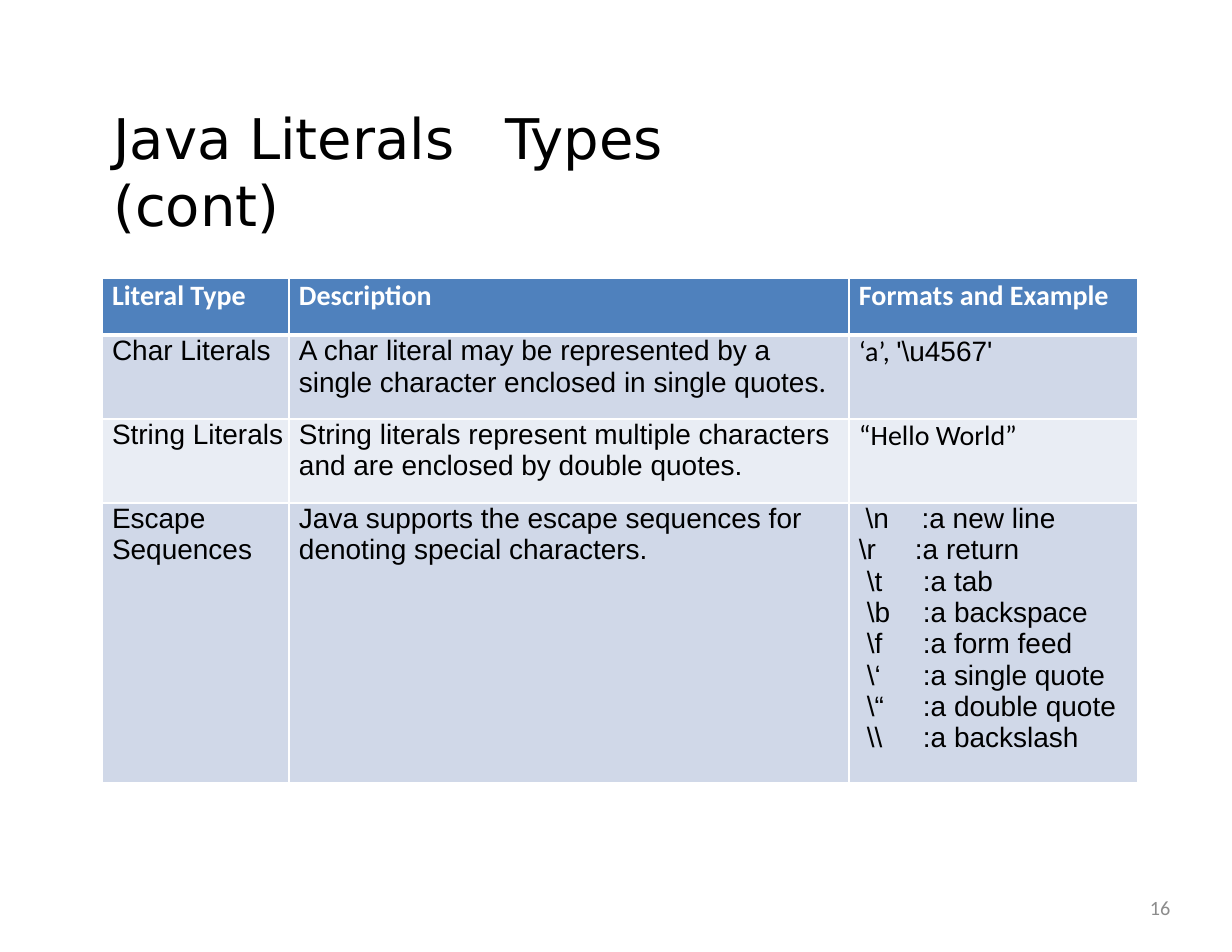
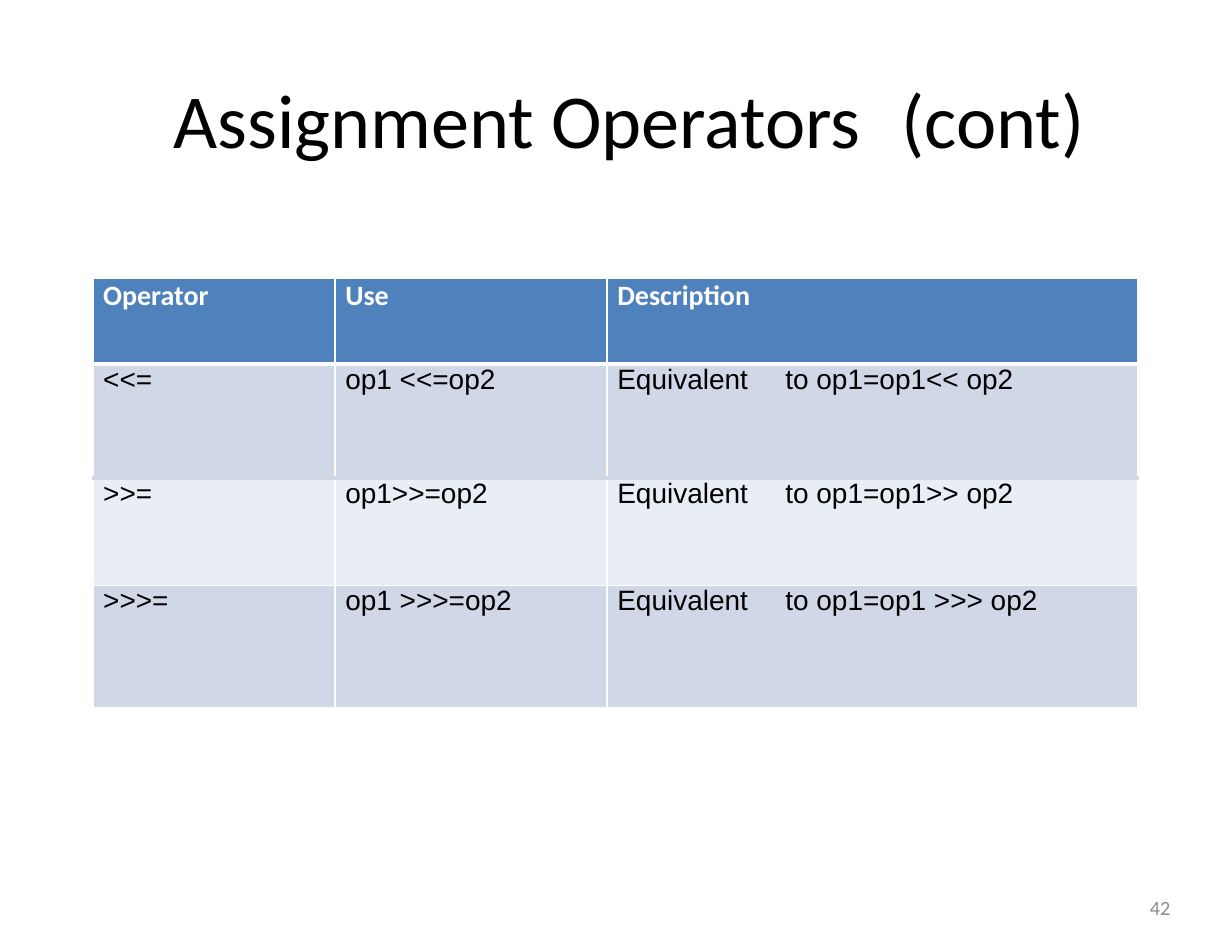
"""Build two Java lecture slides, each with a title, a table and a page number."""
from dataclasses import dataclass

from lxml.etree import SubElement
from pptx import Presentation
from pptx.dml.color import RGBColor
from pptx.enum.text import MSO_ANCHOR, PP_ALIGN
from pptx.oxml.ns import qn
from pptx.util import Cm, Pt

COLOURS = {
    "text": "000000",
    "header_text": "FFFFFF",
    "page_number": "8C8C8C",
    "header": "4F81BD",
    "odd_row": "D0D8E8",
    "even_row": "E9EDF4",
    "rule": "FFFFFF",
}
HEADING_FONT, BODY_FONT = "Calibri", "Arial"
CELL_INDENT = 0.23
THIN_RULE, HEADER_RULE = 1.18, 3.1


@dataclass(frozen=True)
class Line:
    text: str
    font: str = BODY_FONT
    size: float = 18
    colour: str = "text"
    bold: bool = False
    indent: float = CELL_INDENT
    tab: float = 0
    align: PP_ALIGN = PP_ALIGN.LEFT
    tail: str = ""
    tail_font: str = ""


@dataclass(frozen=True)
class Label:
    line: Line
    left: float
    top: float
    width: float
    height: float
    anchor: MSO_ANCHOR = MSO_ANCHOR.MIDDLE


@dataclass(frozen=True)
class Rule:
    width: float
    colour: str = "rule"


@dataclass(frozen=True)
class Grid:
    left: float
    top: float
    columns: tuple[float, ...]
    heights: tuple[float, ...]
    headings: tuple[str, ...]
    rows: tuple
    row_rules: dict[int, Rule]


@dataclass(frozen=True)
class Page:
    title: Label
    grid: Grid
    number: str


def escape(code: str, meaning: str, indent: float = 0.41, tab: float = 1.47) -> Line:
    return Line(f"{code}\t:{meaning}", indent=indent, tab=tab)


def assignment(operator: str, use: str, equivalent: str) -> tuple:
    return (
        [Line(operator)],
        [Line(use)],
        [Line(f"Equivalent\tto {equivalent}", tab=3.56)],
    )


LITERALS = Page(
    title=Label(
        Line("Java Literals\tTypes (cont)", "DejaVu Sans", 36, indent=0.03, tab=8.33),
        2.54, 2.34, 16.33, 1.55, MSO_ANCHOR.TOP,
    ),
    grid=Grid(
        2.31, 6.32, (4.24, 12.7, 6.55), (1.27, 1.91, 1.91, 6.35),
        ("Literal Type", "Description", "Formats and Example"),
        (
            (
                [Line("Char Literals")],
                [Line("A char literal may be represented by a single character "
                      "enclosed in single quotes", tail=".", tail_font=HEADING_FONT)],
                [Line("‘a’, ", HEADING_FONT, tail=r"'\u4567'", tail_font=BODY_FONT)],
            ),
            (
                [Line("String Literals")],
                [Line("String literals represent multiple characters and are "
                      "enclosed by double quotes.")],
                [Line("“Hello World”", HEADING_FONT)],
            ),
            (
                [Line("Escape Sequences")],
                [Line("Java supports the escape sequences for denoting special "
                      "characters.")],
                [
                    escape(r"\n", "a new line", 0.38, 1.42),
                    escape(r"\r", "a return", 0.23, 1.32),
                    escape(r"\t", "a tab"),
                    escape(r"\b", "a backspace"),
                    escape(r"\f", "a form feed"),
                    escape(r"\‘", "a single quote", tab=1.42),
                    escape(r"\“", "a double quote", tab=1.5),
                    escape(r"\\", "a backslash"),
                ],
            ),
        ),
        {1: Rule(HEADER_RULE)},
    ),
    number="16",
)

ASSIGNMENTS = Page(
    title=Label(
        Line("Assignment Operators\t(cont)", HEADING_FONT, 49, indent=2.54, tab=17.17),
        1.4, 1.63, 25.15, 2.08,
    ),
    grid=Grid(
        2.11, 6.32, (5.49, 6.17, 12.04), (1.93, 2.59, 2.44, 2.77),
        ("Operator", "Use", "Description"),
        (
            assignment("<<=", "op1 <<=op2", "op1=op1<< op2"),
            assignment(">>=", "op1>>=op2", "op1=op1>> op2"),
            assignment(">>>=", "op1 >>>=op2", "op1=op1 >>> op2"),
        ),
        {1: Rule(HEADER_RULE), 2: Rule(3.17, "odd_row")},
    ),
    number="42",
)


def write_line(paragraph, line: Line) -> None:
    paragraph.text = line.text
    properties = paragraph._p.get_or_add_pPr()
    properties.set("marL", str(Cm(line.indent)))
    properties.set("indent", "0")
    if line.tab:
        stops = SubElement(properties, qn("a:tabLst"))
        SubElement(stops, qn("a:tab"), pos=str(Cm(line.tab)), algn="l")
    paragraph.alignment = line.align
    if line.tail:
        paragraph.add_run().text = line.tail
    for run, font in zip(paragraph.runs, (line.font, line.tail_font)):
        run.font.name = font
        run.font.size = Pt(line.size)
        run.font.bold = line.bold
        run.font.color.rgb = RGBColor.from_string(COLOURS[line.colour])


def write_lines(frame, lines: list[Line]) -> None:
    for index, line in enumerate(lines):
        write_line(frame.add_paragraph() if index else frame.paragraphs[0], line)


def draw_label(slide, label: Label) -> None:
    box = slide.shapes.add_textbox(
        Cm(label.left), Cm(label.top), Cm(label.width), Cm(label.height))
    frame = box.text_frame
    frame.word_wrap = True
    frame.vertical_anchor = label.anchor
    frame.margin_left = frame.margin_right = frame.margin_top = frame.margin_bottom = 0
    write_lines(frame, [label.line])


def draw_border(cell, side: str, rule: Rule) -> None:
    border = SubElement(
        cell._tc.get_or_add_tcPr(), qn(f"a:ln{side}"), w=str(Pt(rule.width)))
    fill = SubElement(border, qn("a:solidFill"))
    SubElement(fill, qn("a:srgbClr"), val=COLOURS[rule.colour])


def draw_grid(slide, grid: Grid) -> None:
    table = slide.shapes.add_table(
        len(grid.heights), len(grid.columns), Cm(grid.left), Cm(grid.top),
        Cm(sum(grid.columns)), Cm(sum(grid.heights))).table
    for column, width in zip(table.columns, grid.columns):
        column.width = Cm(width)
    headings = [
        [Line(heading, HEADING_FONT, colour="header_text", bold=True)]
        for heading in grid.headings
    ]
    thin = Rule(THIN_RULE)
    for row_index, contents in enumerate((headings, *grid.rows)):
        table.rows[row_index].height = Cm(grid.heights[row_index])
        band = "odd_row" if row_index % 2 else "even_row"
        fill = band if row_index else "header"
        borders = {
            "L": thin,
            "R": thin,
            "T": grid.row_rules.get(row_index, thin),
            "B": grid.row_rules.get(row_index + 1, thin),
        }
        for column_index, lines in enumerate(contents):
            cell = table.cell(row_index, column_index)
            cell.margin_left = cell.margin_right = 0
            cell.margin_top = cell.margin_bottom = 0
            for side, rule in borders.items():
                draw_border(cell, side, rule)
            cell.fill.solid()
            cell.fill.fore_color.rgb = RGBColor.from_string(COLOURS[fill])
            write_lines(cell.text_frame, lines)


def draw_page(presentation, page: Page) -> None:
    slide = presentation.slides.add_slide(presentation.slide_layouts[6])
    draw_label(slide, page.title)
    number = Line(page.number, HEADING_FONT, 13, "page_number", indent=0.08,
                  align=PP_ALIGN.RIGHT)
    draw_label(slide, Label(number, 20.02, 20.02, 6.52, 1.14))
    draw_grid(slide, page.grid)


def main() -> None:
    presentation = Presentation()
    presentation.slide_width, presentation.slide_height = Cm(27.94), Cm(21.59)
    for page in (LITERALS, ASSIGNMENTS):
        draw_page(presentation, page)
    presentation.save("out.pptx")


if __name__ == "__main__":
    main()
